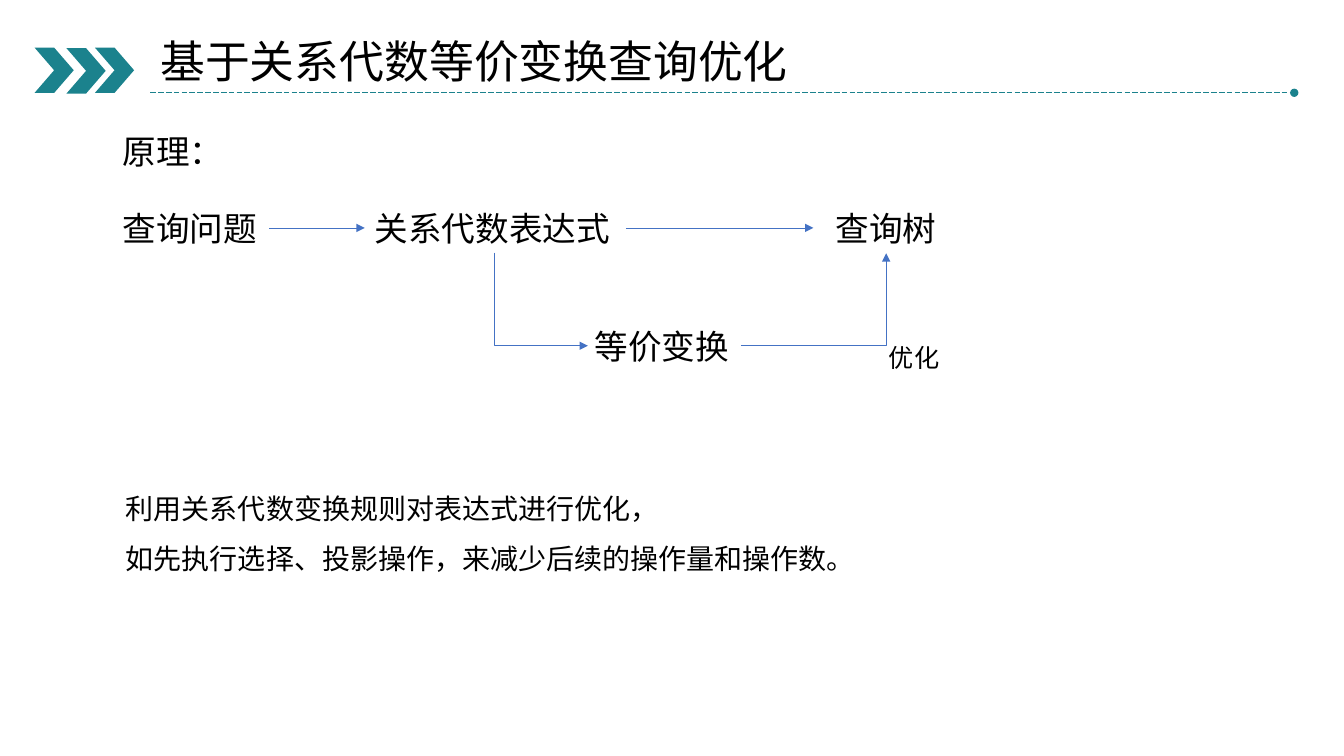
from typing import NamedTuple

from pptx import Presentation
from pptx.dml.color import RGBColor
from pptx.enum.dml import MSO_LINE_DASH_STYLE as Dash
from pptx.enum.shapes import MSO_CONNECTOR_TYPE as Link, MSO_SHAPE as Preset
from pptx.enum.text import MSO_AUTO_SIZE as AutoSize
from pptx.oxml.ns import qn
from pptx.slide import Slide
from pptx.util import Pt

FONT = "Noto Sans CJK SC"
TEAL, BLUE, BLACK = "1B828D", "4472C4", "000000"
CHEVRON_WIDTH, CHEVRON_HEIGHT = 28, 32.4
FRAME_FORMAT = {"word_wrap": False, "auto_size": AutoSize.SHAPE_TO_FIT_TEXT}


class Label(NamedTuple):
    left: float
    top: float
    width: float
    height: float
    size: float
    lines: tuple[str, ...]
    spacing: float | None = None


class Arrow(NamedTuple):
    start: tuple[float, float]
    end: tuple[float, float]
    color: str = BLUE
    tip: str = "triangle"
    dash: Dash | None = None
    bent: bool = False
    rotation: int = 0


CHEVRONS = [(47.5, 34.4), (67.8, 34), (24.7, 34)]

FLOW_TOP, STEP_HEIGHT = 144.7, 36.3
FLOW_MIDDLE, FLOW_BOTTOM = 162.8, 181
BRANCH_MIDDLE = 247.1

LABELS = [
    Label(107.4, 20.3, 466.6, 46, 32, ("基于关系代数等价变换查询优化",)),
    Label(80.5, 89.6, 87, STEP_HEIGHT, 24, ("原理：",)),
    Label(80.5, FLOW_TOP, 111.6, STEP_HEIGHT, 24, ("查询问题",)),
    Label(260.6, FLOW_TOP, 184.3, STEP_HEIGHT, 24, ("关系代数表达式",)),
    Label(589.7, FLOW_TOP, 87, STEP_HEIGHT, 24, ("查询树",)),
    Label(417.6, 229, 111.6, STEP_HEIGHT, 24, ("等价变换",)),
    Label(627.8, 241.2, 51.1, 29, 18, ("优化",)),
    Label(82.8, 335.5, 539.3, 76.3, 20,
          ("利用关系代数变换规则对表达式进行优化，",
           "如先执行选择、投影操作，来减少后续的操作量和操作数。"), 1.5),
]

ARROWS = [
    Arrow((107.3, 66.3), (924.5, 66.3), TEAL, "oval", Dash.LONG_DASH),
    Arrow((192.2, FLOW_MIDDLE), (260.6, FLOW_MIDDLE)),
    Arrow((447.1, FLOW_MIDDLE), (581, FLOW_MIDDLE)),
    # Mirrored, then turned by 270 degrees: runs down first, then right
    Arrow((419.8, 180.3), (353.2, 247.1), bent=True, rotation=270),
    Arrow((529.2, BRANCH_MIDDLE), (633, FLOW_BOTTOM), bent=True),
]


def rgb(color: str) -> RGBColor:
    return RGBColor.from_string(color)


def add_chevron(slide: Slide, left: float, top: float) -> None:
    chevron = slide.shapes.add_shape(Preset.CHEVRON, Pt(left), Pt(top),
                                     Pt(CHEVRON_WIDTH), Pt(CHEVRON_HEIGHT))
    chevron.shadow.inherit = False
    chevron.fill.solid()
    chevron.fill.fore_color.rgb = rgb(TEAL)
    chevron.line.fill.background()


def add_label(slide: Slide, label: Label) -> None:
    frame = slide.shapes.add_textbox(Pt(label.left), Pt(label.top), Pt(label.width),
                                     Pt(label.height)).text_frame
    for name, value in FRAME_FORMAT.items():
        setattr(frame, name, value)
    for index, line in enumerate(label.lines):
        paragraph = frame.add_paragraph() if index else frame.paragraphs[0]
        paragraph.line_spacing = label.spacing
        run = paragraph.add_run()
        run.text = line
        for name, value in {"name": FONT, "size": Pt(label.size)}.items():
            setattr(run.font, name, value)
        run.font.color.rgb = rgb(BLACK)
        properties = run._r.get_or_add_rPr()
        east_asian = properties.makeelement(qn("a:ea"), {"typeface": FONT})
        properties.find(qn("a:latin")).addnext(east_asian)


def add_arrow(slide: Slide, arrow: Arrow) -> None:
    kind = Link.ELBOW if arrow.bent else Link.STRAIGHT
    connector = slide.shapes.add_connector(kind, *map(Pt, arrow.start + arrow.end))
    connector.line.color.rgb = rgb(arrow.color)
    for name, value in {"width": Pt(0.5), "dash_style": arrow.dash}.items():
        setattr(connector.line, name, value)
    properties = connector._element.spPr
    if arrow.bent:
        properties.find(qn("a:prstGeom")).set("prst", "bentConnector2")
    if arrow.rotation:
        properties.find(qn("a:xfrm")).set("rot", str(arrow.rotation * 60000))
    outline = properties.find(qn("a:ln"))
    outline.append(outline.makeelement(qn("a:tailEnd"), {"type": arrow.tip}))
    properties.append(properties.makeelement(qn("a:effectLst"), {}))


def main() -> None:
    deck = Presentation()
    deck.slide_width, deck.slide_height = Pt(960), Pt(540)
    slide = deck.slides.add_slide(deck.slide_layouts[6])
    for left, top in CHEVRONS:
        add_chevron(slide, left, top)
    for arrow in ARROWS:
        add_arrow(slide, arrow)
    for label in LABELS:
        add_label(slide, label)
    deck.save("out.pptx")


if __name__ == "__main__":
    main()
